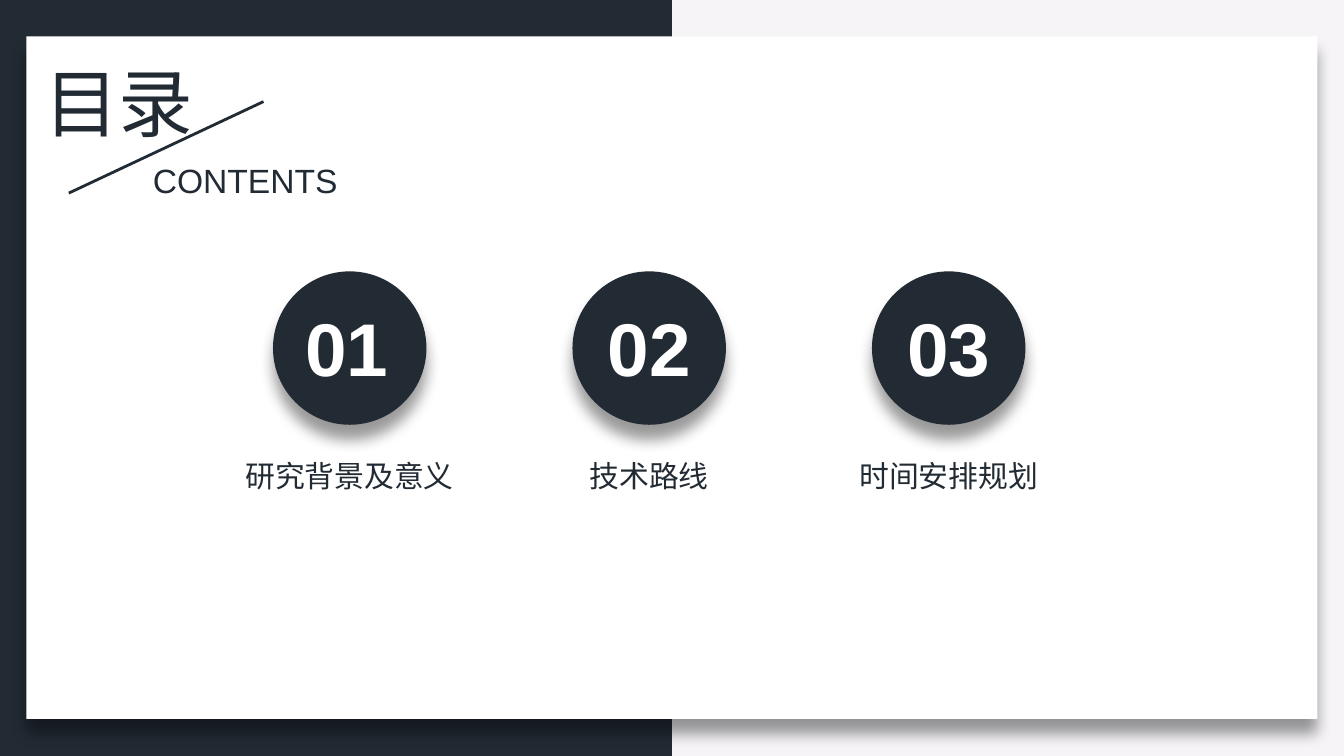
from lxml import etree
from pptx import Presentation
from pptx.dml.color import RGBColor
from pptx.enum.shapes import MSO_CONNECTOR, MSO_SHAPE
from pptx.enum.text import MSO_ANCHOR, MSO_AUTO_SIZE, PP_ALIGN
from pptx.oxml.ns import qn
from pptx.util import Cm, Pt

RECT, OVAL = MSO_SHAPE.RECTANGLE, MSO_SHAPE.OVAL
LINE = MSO_CONNECTOR.STRAIGHT
TOP, NONE = MSO_ANCHOR.TOP, MSO_AUTO_SIZE.NONE
LEFT, CENTER = PP_ALIGN.LEFT, PP_ALIGN.CENTER

DARK = RGBColor(0x22, 0x2B, 0x34)
PALE = RGBColor(0xF6, 0xF4, 0xF7)
WHITE = RGBColor(0xFF, 0xFF, 0xFF)
HAN = "Noto Sans CJK SC"

TOPICS = [
    ("01", "研究背景及意义", 4.5, -0.06),
    ("02", "技术路线", 2.8, 0),
    ("03", "时间安排规划", 3.94, 0),
]
FIRST, STEP, SIZE = 6.61, 5.66, 2.9


def add_shade(shape):
    props = shape.element.spPr
    props.remove(props.find(qn("a:effectLst")))
    effect = etree.SubElement(props, qn("a:effectLst"))
    shade = etree.SubElement(
        effect, qn("a:outerShdw"), blurRad=str(Pt(8)), dist=str(Pt(8)),
        dir="5400000", algn="t", rotWithShape="0")
    color = etree.SubElement(shade, qn("a:srgbClr"), val="000000")
    etree.SubElement(color, qn("a:alpha"), val="40000")


def add_form(slide, kind, box, fill, shade=False):
    shape = slide.shapes.add_shape(kind, *map(Cm, box))
    shape.shadow.inherit = False
    shape.fill.solid()
    shape.fill.fore_color.rgb = fill
    shape.line.fill.background()
    if shade:
        add_shade(shape)


def set_text(shape, text, size, face, color=DARK, align=LEFT, bold=False):
    frame = shape.text_frame
    frame.word_wrap = False
    frame.auto_size = NONE
    frame.vertical_anchor = TOP
    line = frame.paragraphs[0]
    line.alignment = align
    run = line.add_run()
    run.text = text
    font = run.font
    font.size, font.name, font.bold = Pt(size), face, bold
    font.color.rgb = color
    if not text.isascii():
        east = etree.SubElement(run.font._element, qn("a:ea"))
        east.set("typeface", HAN)


def add_text(slide, box, *args, **style):
    set_text(slide.shapes.add_textbox(*map(Cm, box)), *args, **style)


def add_title(slide, box, text):
    title = slide.shapes.title
    title.element.getparent().append(title.element)
    title.left, title.top, title.width, title.height = map(Cm, box)
    set_text(title, text, 40, "Calibri")


def add_slash(slide, ends):
    slash = slide.shapes.add_connector(LINE, *map(Cm, ends))
    slash.line.color.rgb = DARK
    slash.line.width = Pt(1.5)
    etree.SubElement(slash.element.spPr, qn("a:effectLst"))


def add_topic(slide, mid, number, label, width, shift):
    add_form(slide, OVAL, (mid - SIZE / 2, 5.13, SIZE, SIZE), DARK, True)
    add_text(slide, (mid - width / 2, 8.53, width, 0.94), label, 16, HAN,
             align=CENTER)
    add_text(slide, (mid + shift - 1.05, 5.59, 2.1, 1.96), number, 40,
             "Arial", color=WHITE, align=CENTER, bold=True)


def main():
    deck = Presentation()
    deck.slide_width, deck.slide_height = Cm(25.4), Cm(14.29)
    slide = deck.slides.add_slide(deck.slide_layouts[5])
    back = slide.background.fill
    back.solid()
    back.fore_color.rgb = PALE
    add_form(slide, RECT, (0, 0, 12.7, 14.29), DARK)
    add_form(slide, RECT, (0.5, 0.69, 24.4, 12.9), WHITE, True)
    add_title(slide, (0.58, 0.94, 3.35, 1.96), "目录")
    add_slash(slide, (4.98, 1.92, 1.3, 3.65))
    add_text(slide, (2.64, 2.9, 4.04, 1.02), "CONTENTS", 18, "Arial")
    for index, topic in enumerate(TOPICS):
        add_topic(slide, FIRST + index * STEP, *topic)
    deck.save("out.pptx")


if __name__ == "__main__":
    main()
